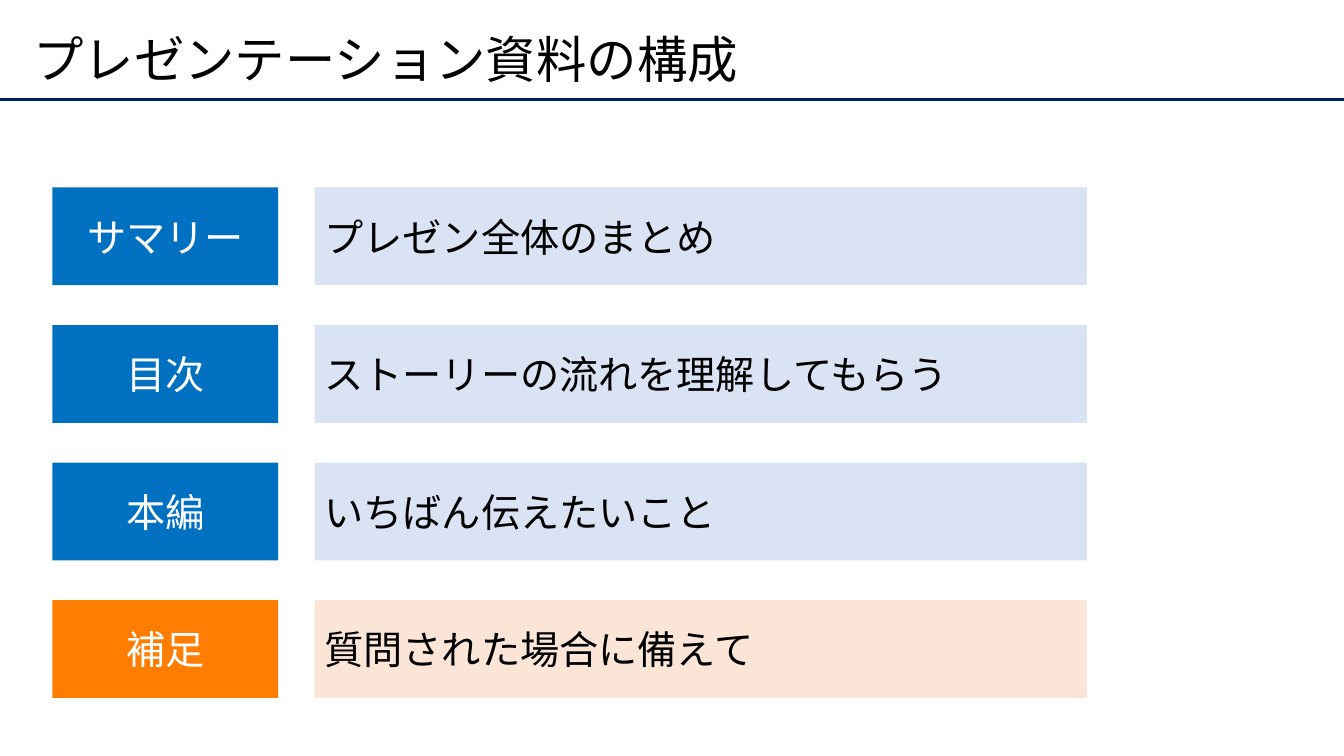
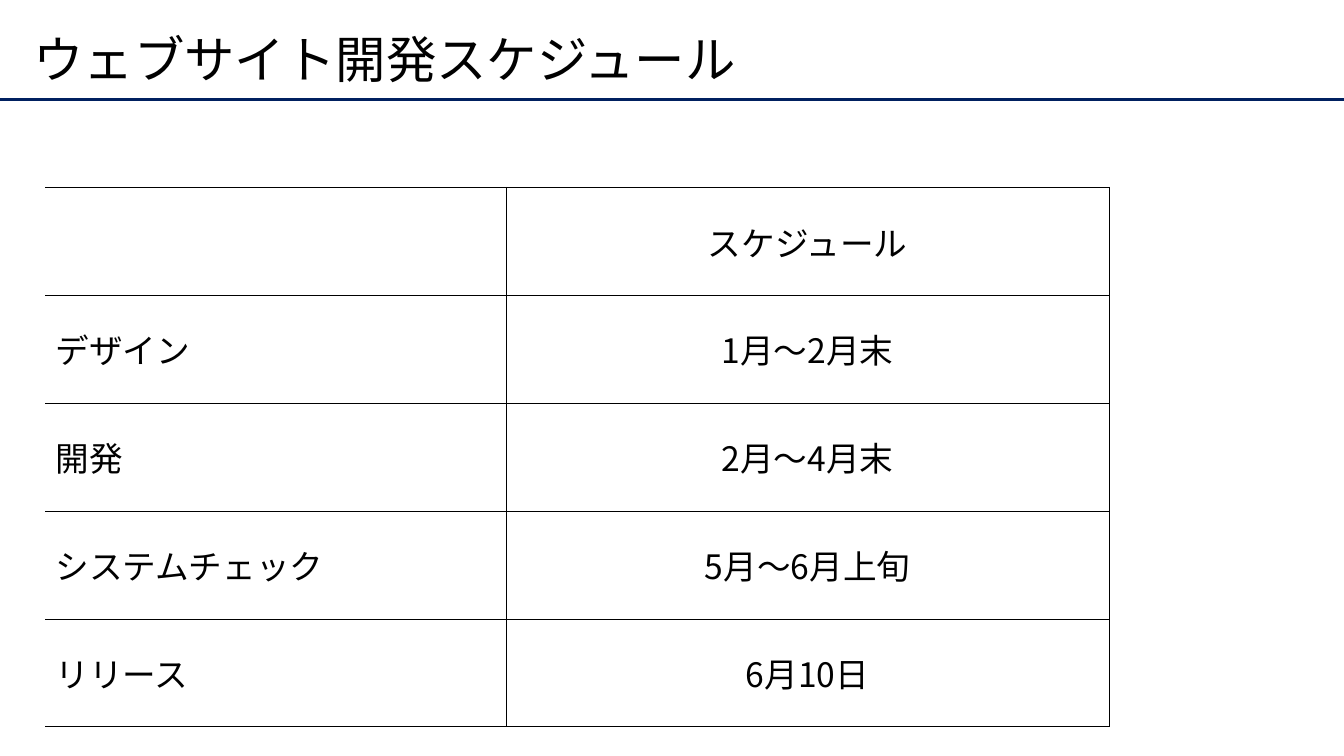
from dataclasses import dataclass

from lxml import etree
from pptx import Presentation
from pptx.dml.color import RGBColor
from pptx.enum.shapes import MSO_CONNECTOR, MSO_SHAPE
from pptx.enum.text import MSO_ANCHOR, MSO_AUTO_SIZE, PP_ALIGN
from pptx.oxml.ns import qn
from pptx.presentation import Presentation as Deck
from pptx.slide import Slide
from pptx.table import _Cell as Cell
from pptx.text.text import TextFrame
from pptx.util import Inches, Pt

LEFT, CENTER = PP_ALIGN.LEFT, PP_ALIGN.CENTER
MIDDLE = MSO_ANCHOR.MIDDLE
RECT = MSO_SHAPE.RECTANGLE
STRAIGHT = MSO_CONNECTOR.STRAIGHT
NO_FIT = MSO_AUTO_SIZE.NONE
TITLE_ONLY = 5


@dataclass(frozen=True)
class Theme:
    font: str = "Noto Sans CJK JP"
    ink: str = "000000"
    paper: str = "FFFFFF"
    rule: str = "002060"
    main: str = "0070C0"
    main_tint: str = "DAE3F3"
    extra: str = "FF7D00"
    extra_tint: str = "FBE5D6"
    title_size: float = 36
    band_size: float = 28
    table_size: float = 24
    rule_width: float = 2.25
    outer_border: float = 1
    inner_border: float = 0.25


@dataclass(frozen=True)
class Band:
    label: str
    text: str
    fill: str
    tint: str


@dataclass(frozen=True)
class Column:
    left: float
    width: float


THEME = Theme()
SLIDE_W, SLIDE_H = 13.33, 7.5
RULE_Y = 0.99
CONTENT_TOP = 1.86

LABEL_COLUMN = Column(0.52, 2.24)
TEXT_COLUMN = Column(3.12, 7.66)
BAND_H = 0.97
BAND_PITCH = 1.365
BANDS = [
    Band("サマリー", "プレゼン全体のまとめ", THEME.main, THEME.main_tint),
    Band("目次", "ストーリーの流れを理解してもらう", THEME.main, THEME.main_tint),
    Band("本編", "いちばん伝えたいこと", THEME.main, THEME.main_tint),
    Band("補足", "質問された場合に備えて", THEME.extra, THEME.extra_tint),
]

TABLE_LEFT = 0.45
TABLE_COLUMNS = [4.57, 5.98]
ROW_H = 1.07
SCHEDULE = [
    ("", "スケジュール"),
    ("デザイン", "1月～2月末"),
    ("開発", "2月～4月末"),
    ("システムチェック", "5月～6月上旬"),
    ("リリース", "6月10日"),
]


def write(tf: TextFrame, text: str, size: float, color: str, align: PP_ALIGN) -> None:
    p = tf.paragraphs[0]
    p.alignment = align
    r = p.add_run()
    r.text = text
    r.font.size = Pt(size)
    r.font.color.rgb = RGBColor.from_string(color)
    r.font.name = THEME.font
    # Japanese glyphs take the East Asian typeface.
    etree.SubElement(r.font._element, qn("a:ea"), typeface=THEME.font)


def add_slide(prs: Deck, title: str) -> Slide:
    """Add a slide with the shared title style and the rule below it."""
    s = prs.slides.add_slide(prs.slide_layouts[TITLE_ONLY])
    rule = s.shapes.add_connector(
        STRAIGHT, 0, Inches(RULE_Y), prs.slide_width, Inches(RULE_Y))
    rule.line.color.rgb = RGBColor.from_string(THEME.rule)
    rule.line.width = Pt(THEME.rule_width)
    etree.SubElement(rule._element.spPr, qn("a:effectLst"))

    sp = s.shapes.title
    sp.left, sp.top, sp.width, sp.height = map(Inches, (0.23, 0.2, 12.6, 0.84))
    tf = sp.text_frame
    tf.auto_size = NO_FIT
    tf.vertical_anchor = MIDDLE
    write(tf, title, THEME.title_size, THEME.ink, LEFT)
    tf.paragraphs[0].line_spacing = 0.9
    return s


def add_box(s: Slide, column: Column, top: float, fill: str, text: str,
            color: str, align: PP_ALIGN) -> None:
    sp = s.shapes.add_shape(RECT, Inches(column.left), Inches(top),
                            Inches(column.width), Inches(BAND_H))
    sp.shadow.inherit = False
    sp.fill.solid()
    sp.fill.fore_color.rgb = RGBColor.from_string(fill)
    sp.line.fill.background()
    tf = sp.text_frame
    tf.word_wrap = True
    tf.vertical_anchor = MIDDLE
    write(tf, text, THEME.band_size, color, align)


def set_border(cell: Cell, side: str, width: float) -> None:
    """Draw one side (L, R, T or B) of a cell; zero width means no line."""
    ln = etree.SubElement(cell._tc.get_or_add_tcPr(), qn(f"a:ln{side}"),
                          w=str(int(Pt(width))))
    if width:
        fill = etree.SubElement(ln, qn("a:solidFill"))
        etree.SubElement(fill, qn("a:srgbClr"), val=THEME.ink)
    else:
        etree.SubElement(ln, qn("a:noFill"))


def build_structure(prs: Deck) -> None:
    s = add_slide(prs, "プレゼンテーション資料の構成")
    for i, band in enumerate(BANDS):
        top = CONTENT_TOP + i * BAND_PITCH
        add_box(s, LABEL_COLUMN, top, band.fill, band.label, THEME.paper, CENTER)
        add_box(s, TEXT_COLUMN, top, band.tint, band.text, THEME.ink, LEFT)


def build_schedule(prs: Deck) -> None:
    s = add_slide(prs, "ウェブサイト開発スケジュール")
    n_rows, n_cols = len(SCHEDULE), len(TABLE_COLUMNS)
    table = s.shapes.add_table(
        n_rows, n_cols, Inches(TABLE_LEFT), Inches(CONTENT_TOP),
        Inches(sum(TABLE_COLUMNS)), Inches(n_rows * ROW_H)).table
    table.first_row = table.horz_banding = False
    for column, width in zip(table.columns, TABLE_COLUMNS):
        column.width = Inches(width)

    inner, outer = THEME.inner_border, THEME.outer_border
    for i, row in enumerate(SCHEDULE):
        table.rows[i].height = Inches(ROW_H)
        for j, text in enumerate(row):
            cell = table.cell(i, j)
            set_border(cell, "L", inner if j else 0)
            set_border(cell, "R", inner)
            set_border(cell, "T", inner if i else outer)
            set_border(cell, "B", outer if i == n_rows - 1 else inner)
            cell.fill.background()
            cell.vertical_anchor = MIDDLE
            if text:
                write(cell.text_frame, text, THEME.table_size, THEME.ink,
                      CENTER if j else LEFT)


def main() -> None:
    prs = Presentation()
    prs.slide_width, prs.slide_height = Inches(SLIDE_W), Inches(SLIDE_H)
    build_structure(prs)
    build_schedule(prs)
    prs.save("out.pptx")


if __name__ == "__main__":
    main()
